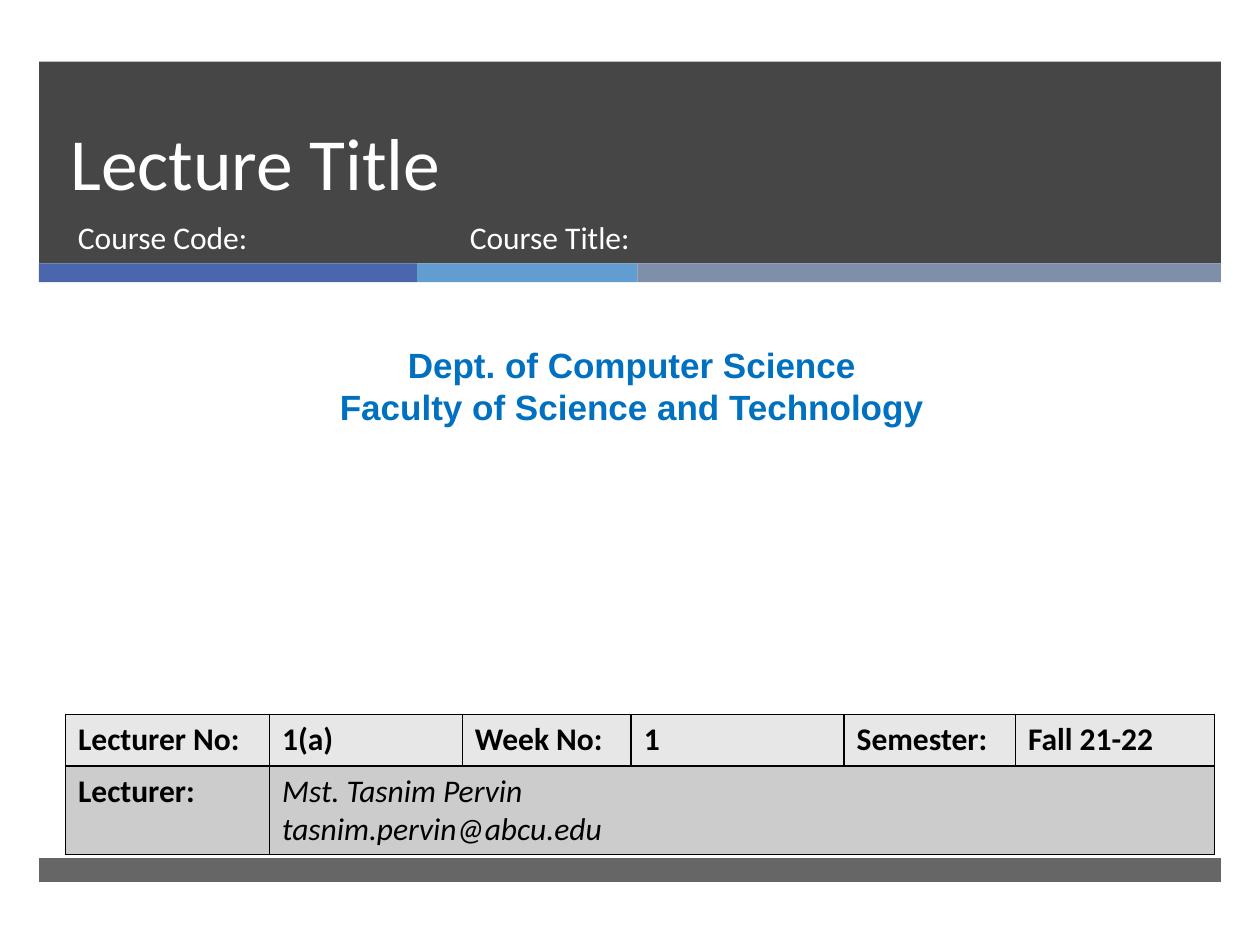
from dataclasses import dataclass, field
from pptx import Presentation
from pptx.dml.color import RGBColor as RGB
from pptx.enum.shapes import MSO_SHAPE as Kind
from pptx.enum.text import MSO_ANCHOR as Anchor, PP_ALIGN as Align
from pptx.oxml import parse_xml
from pptx.oxml.ns import nsdecls
from pptx.util import Inches, Pt

HEX = {
    "dark": "262626", "blue": "4A66AC", "sky": "629DD1", "slate": "7F8FA9",
    "white": "FFFFFF", "dept": "0070C0", "black": "000000",
    "light": "E7E7E7", "grey": "CCCCCC",
}
BASE = {"name": "Calibri", "size": Pt(18), "bold": False, "italic": False}
BOLD = {"bold": True}
SLANT = {"italic": True}


@dataclass
class Bar:
    left: float
    top: float
    width: float
    height: float
    hue: str
    alpha: int = 100


@dataclass
class Label:
    left: float
    top: float
    width: float
    height: float
    lines: list[str]
    hue: str = "white"
    look: dict = field(default_factory=dict)
    frame: dict = field(default_factory=dict)
    para: dict = field(default_factory=dict)


def apply(item, values: dict) -> None:
    for key, value in values.items():
        setattr(item, key, value)


def paint(fill, hue: str) -> None:
    fill.solid()
    fill.fore_color.rgb = RGB.from_string(HEX[hue])


def write(frame, lines: list[str], hue: str, look: dict, para: dict) -> None:
    for n, line in enumerate(lines):
        part = frame.add_paragraph() if n else frame.paragraphs[0]
        apply(part, para)
        run = part.add_run()
        run.text = line
        apply(run.font, BASE | look)
        run.font.color.rgb = RGB.from_string(HEX[hue])


def draw_bar(slide, bar: Bar) -> None:
    box = map(Inches, (bar.left, bar.top, bar.width, bar.height))
    shape = slide.shapes.add_shape(Kind.RECTANGLE, *box)
    shape.shadow.inherit = False
    shape.line.fill.background()
    paint(shape.fill, bar.hue)
    if bar.alpha < 100:
        color = shape.fill._xPr.find(".//{*}srgbClr")
        color.append(parse_xml(f'<a:alpha {nsdecls("a")} val="{bar.alpha * 1000}"/>'))


def draw_label(slide, label: Label) -> None:
    box = map(Inches, (label.left, label.top, label.width, label.height))
    frame = slide.shapes.add_textbox(*box).text_frame
    apply(frame, {"word_wrap": True} | label.frame)
    write(frame, label.lines, label.hue, label.look, label.para)


def draw_cell(cell, lines: list[str], hue: str, look: dict) -> None:
    write(cell.text_frame, lines, "black", look, {})
    paint(cell.fill, hue)


def edge(cell) -> None:
    props = cell._tc.get_or_add_tcPr()
    for n, side in enumerate("LRTB"):
        props.insert(n, parse_xml(
            f'<a:ln{side} {nsdecls("a")} w="{Pt(1)}"><a:solidFill>'
            f'<a:srgbClr val="{HEX["black"]}"/></a:solidFill></a:ln{side}>'))


def draw_table(slide) -> None:
    cols = [1.62, 1.53, 1.34, 1.69, 1.36, 1.58]
    rows = [0.41, 0.7]
    box = map(Inches, (0.52, 5.67, sum(cols), sum(rows)))
    table = slide.shapes.add_table(len(rows), len(cols), *box).table
    for col, width in zip(table.columns, cols):
        col.width = Inches(width)
    for row, height in zip(table.rows, rows):
        row.height = Inches(height)
    heads = ["Lecturer No:", "1(a)", "Week No:", "1", "Semester:", "Fall 21-22"]
    for n, head in enumerate(heads):
        draw_cell(table.cell(0, n), [head], "light", BOLD)
    table.cell(1, 1).merge(table.cell(1, len(cols) - 1))
    draw_cell(table.cell(1, 0), ["Lecturer:"], "grey", BOLD)
    who = ["Mst. Tasnim Pervin", "tasnim.pervin@abcu.edu"]
    draw_cell(table.cell(1, 1), who, "grey", SLANT)
    for row in table.rows:
        for cell in row.cells:
            edge(cell)


BARS = [
    Bar(0.31, 0.49, 9.38, 1.6, "dark", 85),
    Bar(0.31, 2.09, 3, 0.15, "blue"),
    Bar(3.31, 2.09, 1.75, 0.15, "sky"),
    Bar(5.06, 2.09, 4.63, 0.15, "slate"),
    Bar(0.31, 6.81, 9.38, 0.19, "dark", 70),
]
LABELS = [
    Label(0.46, 0.49, 8.54, 1.19, ["Lecture Title"], look={"size": Pt(42)},
          frame={"vertical_anchor": Anchor.BOTTOM}, para={"line_spacing": Pt(46)}),
    Label(0.52, 1.68, 3.05, 0.53, ["Course Code:"]),
    Label(3.63, 1.68, 4.55, 0.53, ["Course Title:"]),
    Label(0.08, 2.68, 9.87, 0.77,
          ["Dept. of Computer Science", "Faculty of Science and Technology"],
          "dept", {"name": "Arial", "size": Pt(20), "bold": True},
          para={"alignment": Align.CENTER}),
]

deck = Presentation()
apply(deck, {"slide_width": Inches(10), "slide_height": Inches(7.5)})
slide = deck.slides.add_slide(deck.slide_layouts[6])
for bar in BARS:
    draw_bar(slide, bar)
for label in LABELS:
    draw_label(slide, label)
draw_table(slide)
deck.save("out.pptx")
